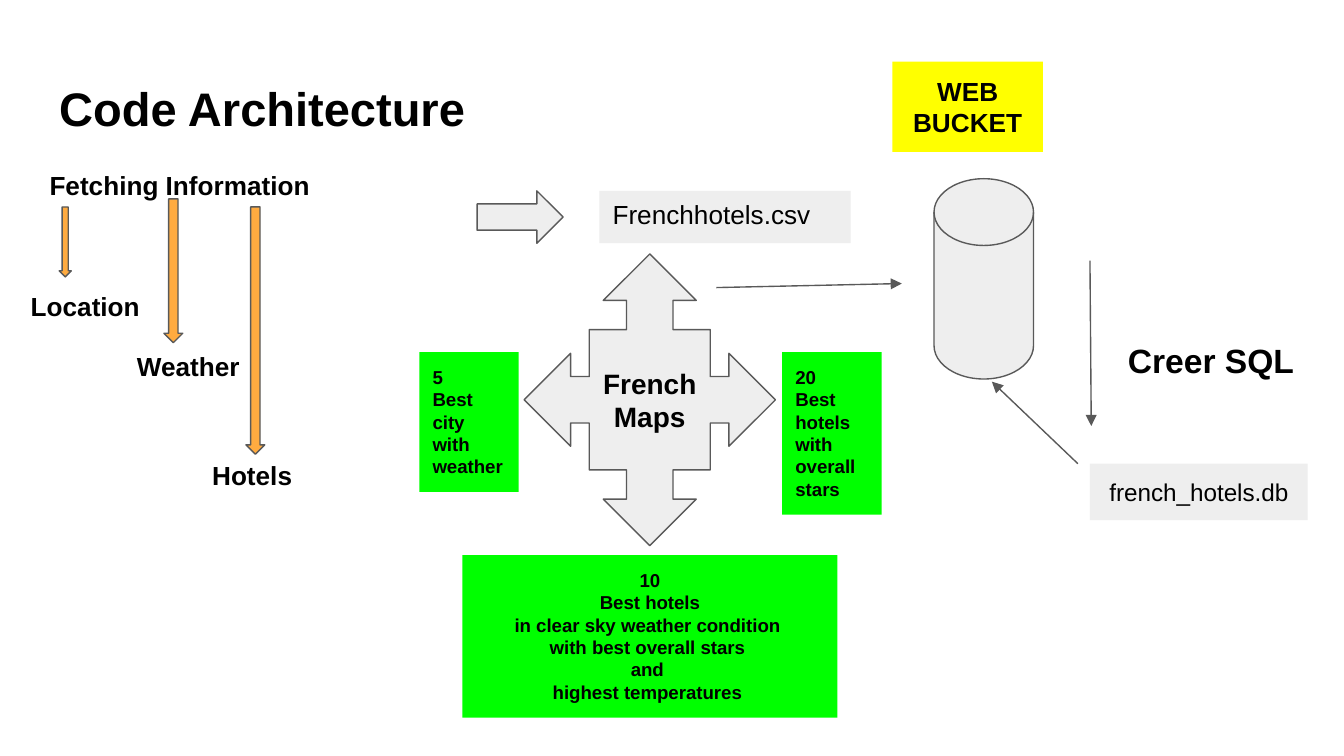
import pptx
import pptx.dml.color
import pptx.enum.shapes
import pptx.enum.text
import pptx.oxml
import pptx.oxml.ns
import pptx.util
from pptx.util import Inches

BLACK = pptx.dml.color.RGBColor(0x00, 0x00, 0x00)
GREY = pptx.dml.color.RGBColor(0xEE, 0xEE, 0xEE)
OUTLINE = pptx.dml.color.RGBColor(0x59, 0x59, 0x59)
ORANGE = pptx.dml.color.RGBColor(0xFF, 0xAB, 0x40)
YELLOW = pptx.dml.color.RGBColor(0xFF, 0xFF, 0x00)
GREEN = pptx.dml.color.RGBColor(0x00, 0xFF, 0x00)

SHAPE = pptx.enum.shapes.MSO_SHAPE
LEFT = pptx.enum.text.PP_ALIGN.LEFT
CENTER = pptx.enum.text.PP_ALIGN.CENTER
TOP = pptx.enum.text.MSO_ANCHOR.TOP
MIDDLE = pptx.enum.text.MSO_ANCHOR.MIDDLE
BOTTOM = pptx.enum.text.MSO_ANCHOR.BOTTOM


def write_text(box, lines, size, bold=True, align=LEFT, anchor=TOP):
    frame = box.text_frame
    frame.word_wrap = True
    frame.auto_size = pptx.enum.text.MSO_AUTO_SIZE.NONE
    frame.vertical_anchor = anchor
    frame.margin_left = frame.margin_right = Inches(0.1)
    frame.margin_top = frame.margin_bottom = Inches(0.1)
    for index, line in enumerate(lines):
        para = frame.add_paragraph() if index else frame.paragraphs[0]
        para.alignment = align
        span = para.add_run()
        span.text = line
        span.font.name = "Arial"
        span.font.size = pptx.util.Pt(size)
        span.font.bold = bold
        span.font.color.rgb = BLACK


def add_label(page, left, top, width, height, text, size=14, align=LEFT):
    box = page.shapes.add_textbox(Inches(left), Inches(top), Inches(width), Inches(height))
    write_text(box, [text], size, align=align)


def add_block(page, kind, left, top, width, height, fill, outlined=False):
    box = page.shapes.add_shape(kind, Inches(left), Inches(top), Inches(width), Inches(height))
    box.shadow.inherit = False
    box.fill.solid()
    box.fill.fore_color.rgb = fill
    if outlined:
        box.line.color.rgb = OUTLINE
        box.line.width = pptx.util.Pt(0.75)
    else:
        box.line.fill.background()
    return box


def add_arrow(page, start_x, start_y, end_x, end_y):
    arrow = page.shapes.add_connector(
        pptx.enum.shapes.MSO_CONNECTOR.STRAIGHT,
        Inches(start_x), Inches(start_y), Inches(end_x), Inches(end_y))
    arrow.line.color.rgb = OUTLINE
    arrow.line.width = pptx.util.Pt(0.75)
    properties = arrow._element.spPr
    tail = pptx.oxml.parse_xml(f'<a:tailEnd {pptx.oxml.ns.nsdecls("a")} type="triangle"/>')
    properties.find(pptx.oxml.ns.qn("a:ln")).append(tail)
    effects = pptx.oxml.parse_xml(f'<a:effectLst {pptx.oxml.ns.nsdecls("a")}/>')
    properties.append(effects)


def place_title(page, left, top, width, height):
    title = page.shapes.title
    title.left, title.top = Inches(left), Inches(top)
    title.width, title.height = Inches(width), Inches(height)
    write_text(title, ["Code Architecture"], 25.2)


def add_fetching(page, left, top):
    add_label(page, left + 0.14, top, 3.32, 0.44, "Fetching Information")
    steps = [
        ("Location", 0, 0.9, 1.51, 0.31, 0.38, 0.09, 0.52),
        ("Weather", 0.79, 1.35, 1.62, 1.09, 0.32, 0.14, 1.07),
        ("Hotels", 1.35, 2.16, 0.88, 1.7, 0.38, 0.14, 1.84),
    ]
    for text, text_x, text_y, text_width, arrow_x, arrow_y, width, height in steps:
        add_block(page, SHAPE.DOWN_ARROW, left + arrow_x, top + arrow_y,
                  width, height, ORANGE, True)
        add_label(page, left + text_x, top + text_y, text_width, 0.44, text)


def add_csv(page, left, top, height):
    add_block(page, SHAPE.RIGHT_ARROW, left, top, 0.64, height, GREY, True)
    file_box = add_block(page, SHAPE.RECTANGLE, left + 0.91, top, 1.87, height, GREY)
    write_text(file_box, ["Frenchhotels.csv"], 14, False, anchor=BOTTOM)


def add_storage(page, left, top):
    bucket = add_block(page, SHAPE.RECTANGLE, left, top, 1.12, 0.67, YELLOW)
    write_text(bucket, ["WEB", "BUCKET"], 14, align=CENTER)
    add_block(page, SHAPE.FLOWCHART_MAGNETIC_DISK, left + 0.31, top + 0.87,
              0.74, 1.49, GREY, True)


def add_database(page, left, top):
    add_label(page, left + 0.09, top - 1.02, 1.62, 0.96, "Creer SQL", 18, CENTER)
    file_box = add_block(page, SHAPE.RECTANGLE, left, top, 1.62, 0.42, GREY)
    write_text(file_box, ["french_hotels.db"], 13, False, CENTER)
    add_arrow(page, left, top - 1.51, left + 0.01, top - 0.28)
    add_arrow(page, left - 0.09, top, left - 0.73, top - 0.61)


def add_maps(page, left, top, width, height):
    hub = add_block(page, SHAPE.QUAD_ARROW_CALLOUT, left, top, width, height, GREY, True)
    for index, share in enumerate([0.185, 0.185, 0.185, 0.481]):
        hub.adjustments[index] = share
    write_text(hub, ["French Maps"], 15, align=CENTER, anchor=MIDDLE)
    results = [
        (width + 0.05, 0.73, 0.74, 1.21, LEFT,
         ["20", "Best", "hotels", "with", "overall", "stars"]),
        (-0.78, 0.73, 0.74, 1.04, LEFT, ["5", "Best", "city", "with", "weather"]),
        (-0.46, height + 0.07, 2.79, 1.21, CENTER,
         ["10", "Best hotels", "in clear sky weather condition ",
          "with best overall stars ", "and ", "highest temperatures "]),
    ]
    for x, y, box_width, box_height, align, lines in results:
        box = add_block(page, SHAPE.RECTANGLE, left + x, top + y, box_width, box_height, GREEN)
        write_text(box, lines, 10, align=align)


def main():
    deck = pptx.Presentation()
    deck.slide_width = Inches(10)
    deck.slide_height = deck.slide_width * 9 // 16
    page = deck.slides.add_slide(deck.slide_layouts[5])
    place_title(page, 0.34, 0.49, 3.7, 0.63)
    add_fetching(page, 0.13, 1.16)
    add_csv(page, 3.55, 1.42, 0.39)
    add_storage(page, 6.64, 0.46)
    add_arrow(page, 5.33, 2.14, 6.71, 2.11)
    add_database(page, 8.11, 3.45)
    add_maps(page, 3.9, 1.89, 1.87, 2.17)
    deck.save("out.pptx")


if __name__ == "__main__":
    main()
